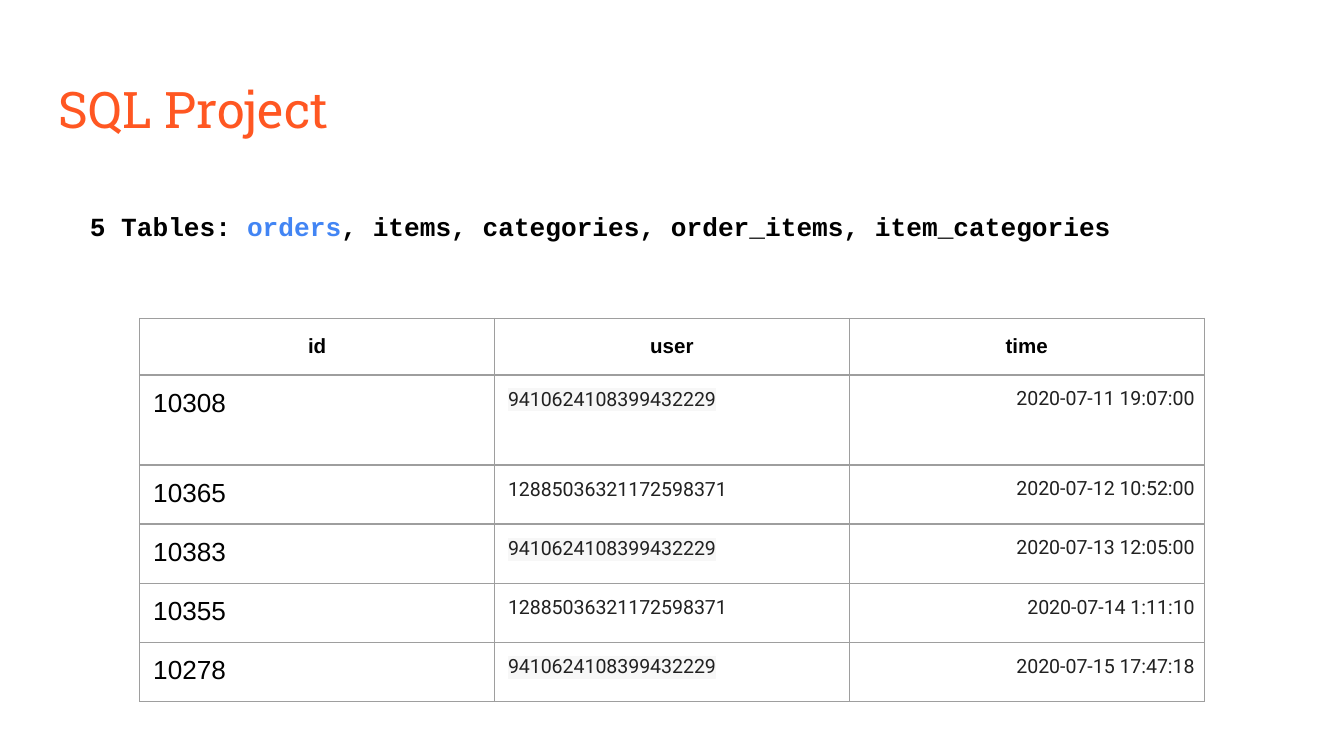
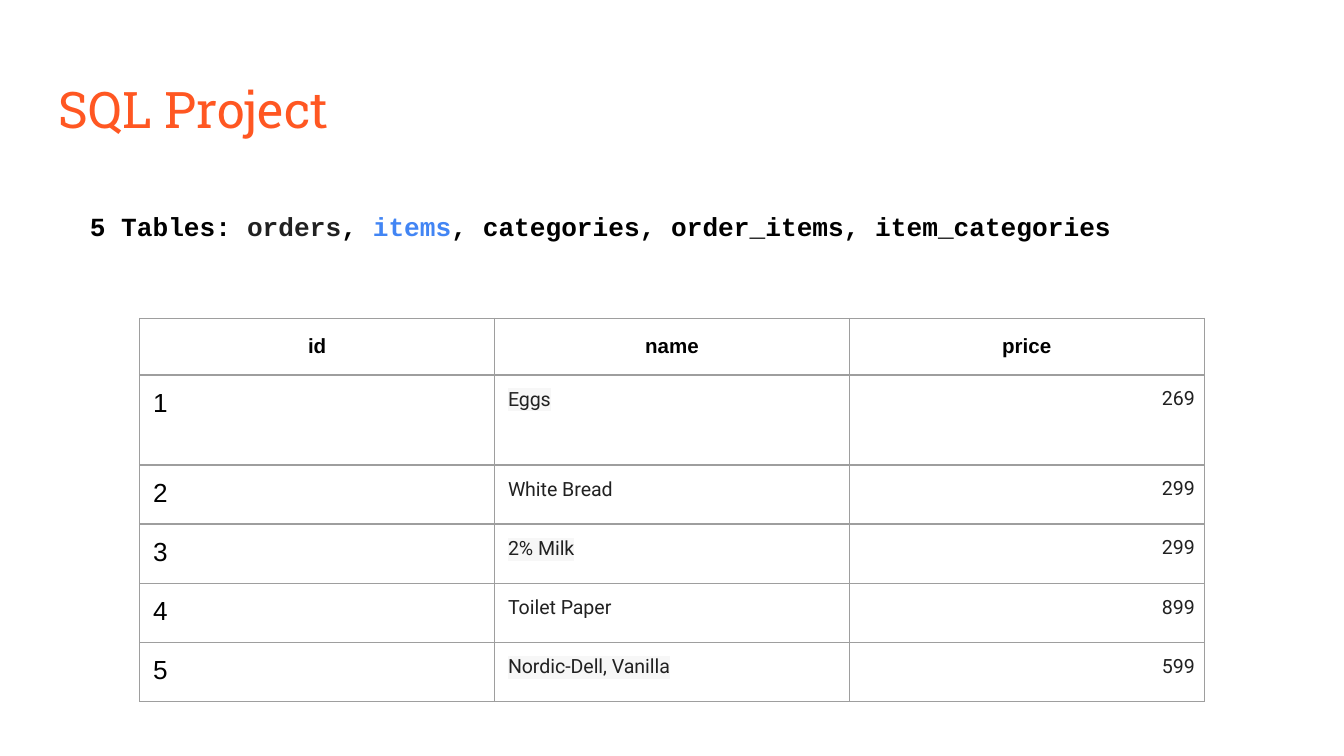
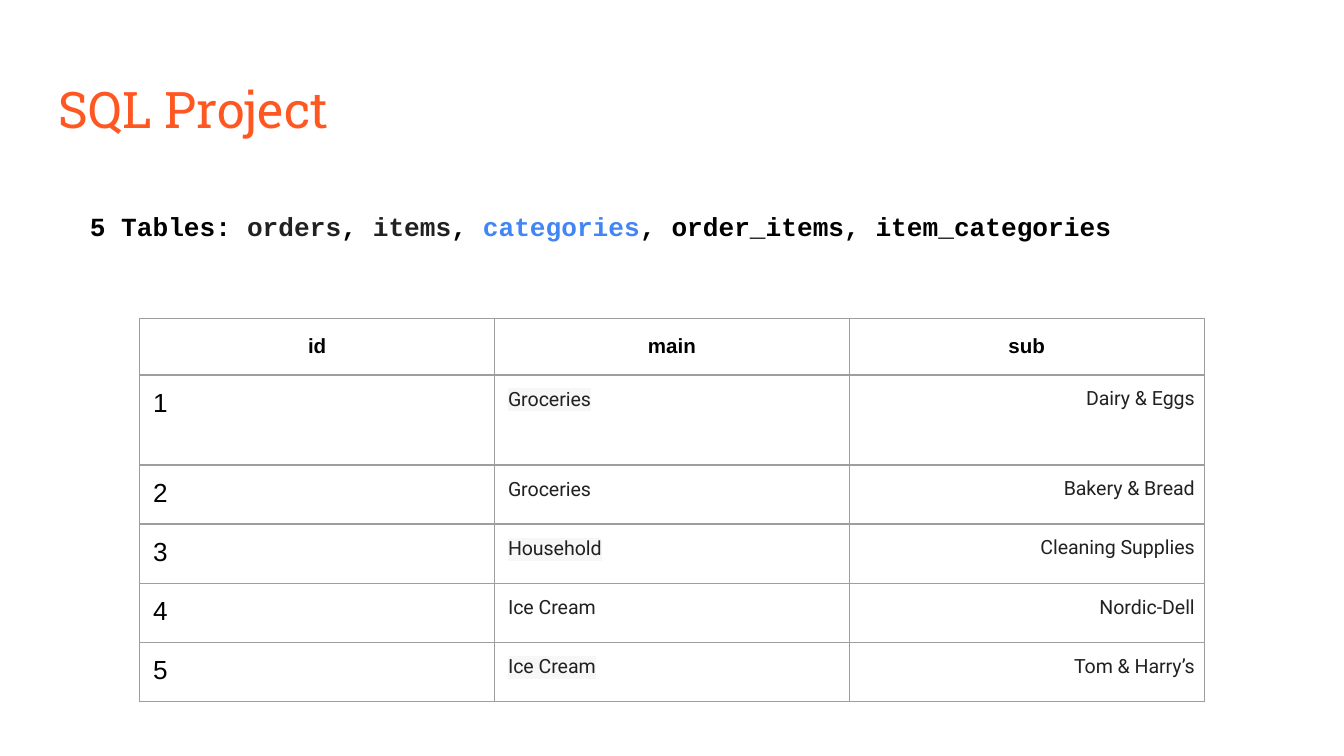
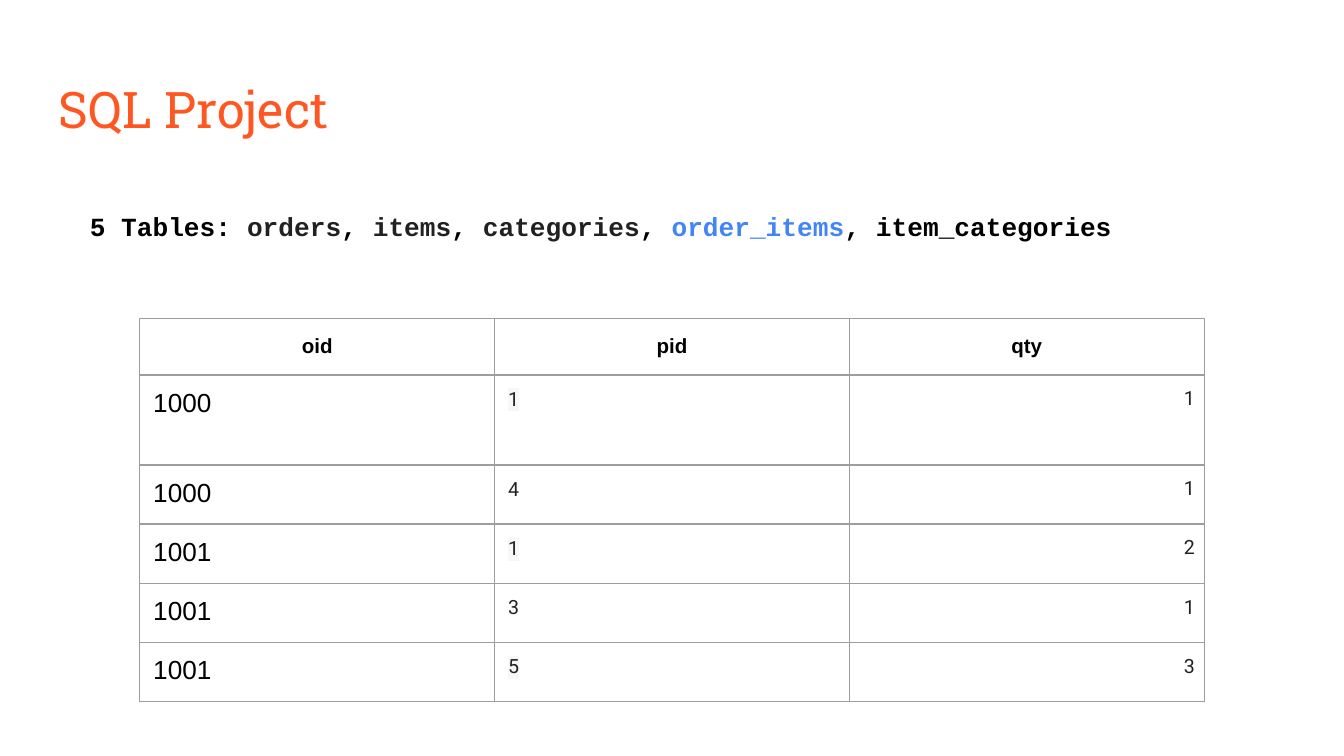
from dataclasses import dataclass

from lxml import etree
from pptx import Presentation
from pptx.dml.color import RGBColor
from pptx.enum.text import MSO_ANCHOR, MSO_AUTO_SIZE, PP_ALIGN
from pptx.oxml.ns import qn
from pptx.util import Inches, Pt

LEFT, CENTER, RIGHT = PP_ALIGN.LEFT, PP_ALIGN.CENTER, PP_ALIGN.RIGHT
TOP, MIDDLE = MSO_ANCHOR.TOP, MSO_ANCHOR.MIDDLE
GROW = MSO_AUTO_SIZE.SHAPE_TO_FIT_TEXT

TITLE = "SQL Project"
TABLE_NAMES = ["orders", "items", "categories", "order_items", "item_categories"]

SAMPLES = {
    "orders": [
        ("id", "user", "time"),
        ("10308", "9410624108399432229", "2020-07-11 19:07:00"),
        ("10365", "12885036321172598371", "2020-07-12 10:52:00"),
        ("10383", "9410624108399432229", "2020-07-13 12:05:00"),
        ("10355", "12885036321172598371", "2020-07-14 1:11:10"),
        ("10278", "9410624108399432229", "2020-07-15 17:47:18"),
    ],
    "items": [
        ("id", "name", "price"),
        ("1", "Eggs", "269"),
        ("2", "White Bread", "299"),
        ("3", "2% Milk", "299"),
        ("4", "Toilet Paper", "899"),
        ("5", "Nordic-Dell, Vanilla", "599"),
    ],
    "categories": [
        ("id", "main", "sub"),
        ("1", "Groceries", "Dairy & Eggs"),
        ("2", "Groceries", "Bakery & Bread"),
        ("3", "Household", "Cleaning Supplies"),
        ("4", "Ice Cream", "Nordic-Dell"),
        ("5", "Ice Cream", "Tom & Harry’s"),
    ],
    "order_items": [
        ("oid", "pid", "qty"),
        ("1000", "1", "1"),
        ("1000", "4", "1"),
        ("1001", "1", "2"),
        ("1001", "3", "1"),
        ("1001", "5", "3"),
    ],
}


@dataclass(frozen=True)
class TextStyle:
    font: str
    size: float
    color: str
    bold: bool = False


@dataclass(frozen=True)
class Theme:
    paper: str = "FFFFFF"
    stripe: str = "F7F7F7"
    border: str = "9E9E9E"
    active: str = "4285F4"
    seen: str = "212121"
    border_pt: float = 0.75
    spacing: float = 1.15
    title: TextStyle = TextStyle("Roboto Slab", 27, "FF5722")
    names: TextStyle = TextStyle("Courier New", 14, "000000", True)
    header: TextStyle = TextStyle("Arial", 11, "000000", True)
    key: TextStyle = TextStyle("Arial", 14, "000000")
    value: TextStyle = TextStyle("Roboto", 10.5, "212121")


THEME = Theme()
SLIDE_W = 10
SLIDE_H = SLIDE_W * 9 / 16
TITLE_BOX = (0.34, 0.49, 9.32, 0.63)
NAMES_BOX = (0.57, 1.43, 8.13, 0.44)
TABLE_LEFT, TABLE_TOP, COLUMN_W = 1.04, 2.37, 2.64
HEADER_H, FIRST_ROW_H, ROW_H = 0.42, 0.67, 0.44
PAD, TIGHT_PAD = 0.1, 0.07


def add_run(p, text, style, color=None, highlight=None):
    r = p.add_run()
    r.text = text
    r.font.size = Pt(style.size)
    r.font.bold = style.bold
    r.font.color.rgb = RGBColor.from_string(color or style.color)
    if highlight:
        mark = etree.Element(qn("a:highlight"))
        etree.SubElement(mark, qn("a:srgbClr"), val=highlight)
        r.font.fill._xPr.find(qn("a:solidFill")).addnext(mark)
    r.font.name = style.font


def set_margins(target, pad):
    target.margin_left = target.margin_right = Inches(pad)
    target.margin_top = target.margin_bottom = Inches(pad)


def add_text_box(s, box, anchor):
    tf = s.shapes.add_textbox(*map(Inches, box)).text_frame
    tf.word_wrap = True
    tf.vertical_anchor = anchor
    set_margins(tf, PAD)
    return tf


def add_table_names(s, active):
    tf = add_text_box(s, NAMES_BOX, TOP)
    tf.auto_size = GROW
    p = tf.paragraphs[0]
    p.line_spacing = THEME.spacing
    p.space_after = Pt(12)
    at = TABLE_NAMES.index(active)
    add_run(p, "5 Tables: ", THEME.names)
    for name in TABLE_NAMES[:at]:
        add_run(p, name, THEME.names, THEME.seen)
        add_run(p, ", ", THEME.names)
    add_run(p, active, THEME.names, THEME.active)
    add_run(p, "".join(f", {name}" for name in TABLE_NAMES[at + 1:]), THEME.names)


def set_borders(cell):
    tc_pr = cell._tc.get_or_add_tcPr()
    for i, side in enumerate(("lnL", "lnR", "lnT", "lnB")):
        ln = etree.Element(qn(f"a:{side}"), w=str(Pt(THEME.border_pt)))
        fill = etree.SubElement(ln, qn("a:solidFill"))
        etree.SubElement(fill, qn("a:srgbClr"), val=THEME.border)
        tc_pr.insert(i, ln)


def cell_format(row, col):
    if row == 0:
        return THEME.header, CENTER, THEME.spacing, PAD, None
    if col == 0:
        return THEME.key, LEFT, None, PAD, None
    if col == 1:
        return THEME.value, LEFT, None, PAD, THEME.stripe if row % 2 else THEME.paper
    return THEME.value, RIGHT, THEME.spacing, TIGHT_PAD, THEME.paper


def add_sample(s, rows):
    heights = [HEADER_H, FIRST_ROW_H] + [ROW_H] * (len(rows) - 2)
    columns = len(rows[0])
    box = (TABLE_LEFT, TABLE_TOP, COLUMN_W * columns, sum(heights))
    table = s.shapes.add_table(len(rows), columns, *map(Inches, box)).table
    table.first_row = table.horz_banding = False
    for column in table.columns:
        column.width = Inches(COLUMN_W)
    for i, (height, values) in enumerate(zip(heights, rows)):
        table.rows[i].height = Inches(height)
        for j, text in enumerate(values):
            style, align, spacing, pad, highlight = cell_format(i, j)
            cell = table.cell(i, j)
            cell.fill.background()
            set_margins(cell, pad)
            set_borders(cell)
            p = cell.text_frame.paragraphs[0]
            p.alignment = align
            p.line_spacing = spacing
            add_run(p, text, style, highlight=highlight)


def main():
    prs = Presentation()
    prs.slide_width, prs.slide_height = Inches(SLIDE_W), Inches(SLIDE_H)
    for name, rows in SAMPLES.items():
        s = prs.slides.add_slide(prs.slide_layouts[6])
        s.background.fill.solid()
        s.background.fill.fore_color.rgb = RGBColor.from_string(THEME.paper)
        tf = add_text_box(s, TITLE_BOX, MIDDLE)
        add_run(tf.paragraphs[0], TITLE, THEME.title)
        add_table_names(s, name)
        add_sample(s, rows)
    prs.save("out.pptx")


if __name__ == "__main__":
    main()
